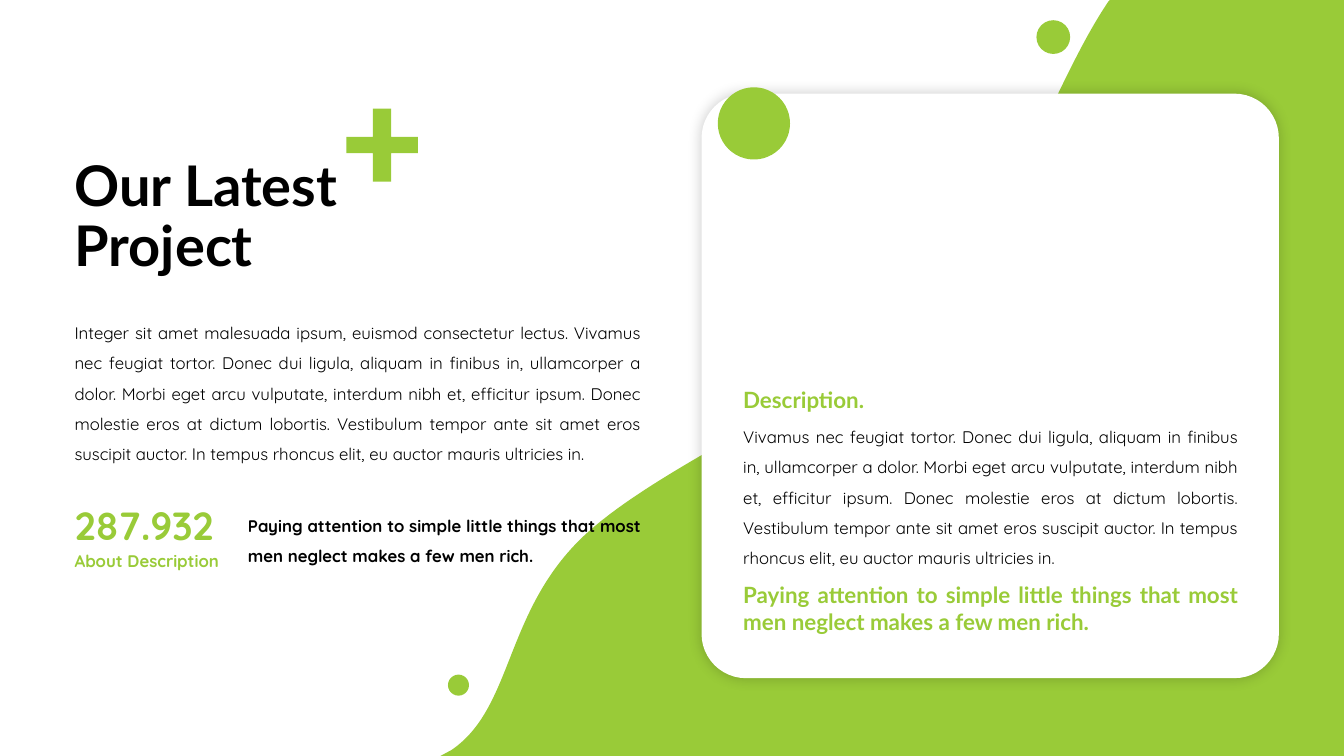
"""Builds the "Our Latest Project" slide with a wave, a card and text blocks."""
from lxml.etree import SubElement
from pptx import Presentation
from pptx.dml.color import RGBColor
from pptx.enum.shapes import MSO_SHAPE
from pptx.enum.text import MSO_ANCHOR, MSO_AUTO_SIZE, PP_ALIGN
from pptx.oxml.ns import qn
from pptx.util import Cm, Pt

COLORS = {"green": "99CB38", "white": "FFFFFF", "black": "000000"}
HEADING, BODY = "Lato", "Quicksand"
QUOTE = "Paying attention to simple little things that most men neglect makes a few men rich."
DETAILS = (
    "Vivamus nec feugiat tortor. Donec dui ligula, aliquam in finibus in, "
    "ullamcorper a dolor. Morbi eget arcu vulputate, interdum nibh et, efficitur ipsum. "
    "Donec molestie eros at dictum lobortis. Vestibulum tempor ante sit amet eros "
    "suscipit auctor. In tempus rhoncus elit, eu auctor mauris ultricies in."
)
INTRO = "Integer sit amet malesuada ipsum, euismod consectetur lectus. " + DETAILS


class ProjectSlide:
    def __init__(self, slide):
        self.slide = slide

    def paint(self, shape, color):
        shape.shadow.inherit = False
        shape.fill.solid()
        shape.fill.fore_color.rgb = RGBColor.from_string(COLORS[color])
        shape.line.fill.background()
        return shape

    def outline(self, points, curves=()):
        corners = [(Cm(x), Cm(y)) for x, y in [*points, *curves]]
        builder = self.slide.shapes.build_freeform(*corners[0])
        builder.add_line_segments(corners[1:], close=True)
        shape = self.paint(builder.convert_to_shape(), "green")
        segments = list(shape.element.iter(qn("a:lnTo")))[len(points) - 1:]
        for first in range(0, len(curves), 3):
            curve, *others = segments[first:first + 3]
            curve.tag = qn("a:cubicBezTo")
            for segment in others:
                curve.append(segment[0])
                segment.getparent().remove(segment)

    def circle(self, left, top, size):
        box = (Cm(left), Cm(top), Cm(size), Cm(size))
        self.paint(self.slide.shapes.add_shape(MSO_SHAPE.OVAL, *box), "green")

    def card(self, left, top, width, height):
        box = (Cm(left), Cm(top), Cm(width), Cm(height))
        shape = self.slide.shapes.add_shape(MSO_SHAPE.ROUNDED_RECTANGLE, *box)
        shape.adjustments[0] = 0.077
        self.paint(shape, "white")
        effects = shape.element.spPr.find(qn("a:effectLst"))
        shadow = SubElement(effects, qn("a:outerShdw"), blurRad=str(Pt(10)), dist="0", dir="0",
                            algn="ctr", rotWithShape="0")
        tint = SubElement(shadow, qn("a:srgbClr"), val=COLORS["black"])
        SubElement(tint, qn("a:alpha"), val="20000")

    def text(self, text, left, top, width, height, font=BODY, size=12, color="black",
             bold=False, align=PP_ALIGN.JUSTIFY, anchor=MSO_ANCHOR.TOP, spacing=1.0,
             fit=MSO_AUTO_SIZE.SHAPE_TO_FIT_TEXT):
        frame = self.slide.shapes.add_textbox(Cm(left), Cm(top), Cm(width), Cm(height)).text_frame
        frame.word_wrap = True
        frame.auto_size = fit
        frame.vertical_anchor = anchor
        paragraph = frame.paragraphs[0]
        paragraph.alignment = align
        paragraph.line_spacing = spacing
        run = paragraph.add_run()
        run.text = text
        run.font.name = font
        run.font.size = Pt(size)
        run.font.bold = bold
        run.font.color.rgb = RGBColor.from_string(COLORS[color])


def main():
    presentation = Presentation()
    presentation.slide_width, presentation.slide_height = Cm(33.87), Cm(19.05)
    page = ProjectSlide(presentation.slides.add_slide(presentation.slide_layouts[6]))

    page.outline(
        [(27.97, 0), (33.87, 0), (33.87, 19.05), (11.1, 19.05), (11.38, 18.9)],
        curves=[(12.95, 17.83), (12.7, 15.39), (14.73, 13.49),
                (16.79, 11.58), (21.23, 9.91), (23.62, 7.49),
                (25.53, 5.51), (26.59, 2.01), (27.94, 0.03)],
    )

    x1, x2, x3, x4 = 8.73, 9.4, 9.86, 10.53
    y1, y2, y3, y4 = 2.74, 3.45, 3.86, 4.58
    page.outline([(x2, y1), (x3, y1), (x3, y2), (x4, y2), (x4, y3), (x3, y3),
                  (x3, y4), (x2, y4), (x2, y3), (x1, y3), (x1, y2), (x2, y2)])

    page.card(17.68, 2.36, 14.55, 14.73)
    accent = {"color": "green", "bold": True}
    centered = {"anchor": MSO_ANCHOR.MIDDLE}
    card_left, card_width, left = 18.48, 12.98, 1.63
    page.text("Description.", card_left, 9.6, 6.58, 0.94, font=HEADING, size=16,
              align=PP_ALIGN.LEFT, **accent, **centered)
    page.text(DETAILS, card_left, 10.38, card_width, 4.01, spacing=1.5)
    page.text(QUOTE, card_left, 14.52, card_width, 1.63, font=HEADING, size=16, **accent)

    page.text(INTRO, left, 7.76, 14.78, 4.11, spacing=1.5)
    page.text("About Description", left, 13.74, 4.37, 0.76, **accent, **centered)
    page.text("287.932", left, 12.5, 5.84, 1.45, size=28, **accent, **centered)
    page.text(QUOTE, 6, 12.62, 10.41, 1.8, bold=True, spacing=1.5)
    page.text("Our Latest Project", left, 3.66, 11.73, 3.68, font=HEADING, size=40, bold=True,
              align=PP_ALIGN.LEFT, spacing=0.9, fit=MSO_AUTO_SIZE.NONE, **centered)

    for left_edge, top_edge, size in ((26.12, 0.51, 0.85), (11.29, 17, 0.53), (18.09, 2.2, 1.82)):
        page.circle(left_edge, top_edge, size)
    presentation.save("out.pptx")


if __name__ == "__main__":
    main()
